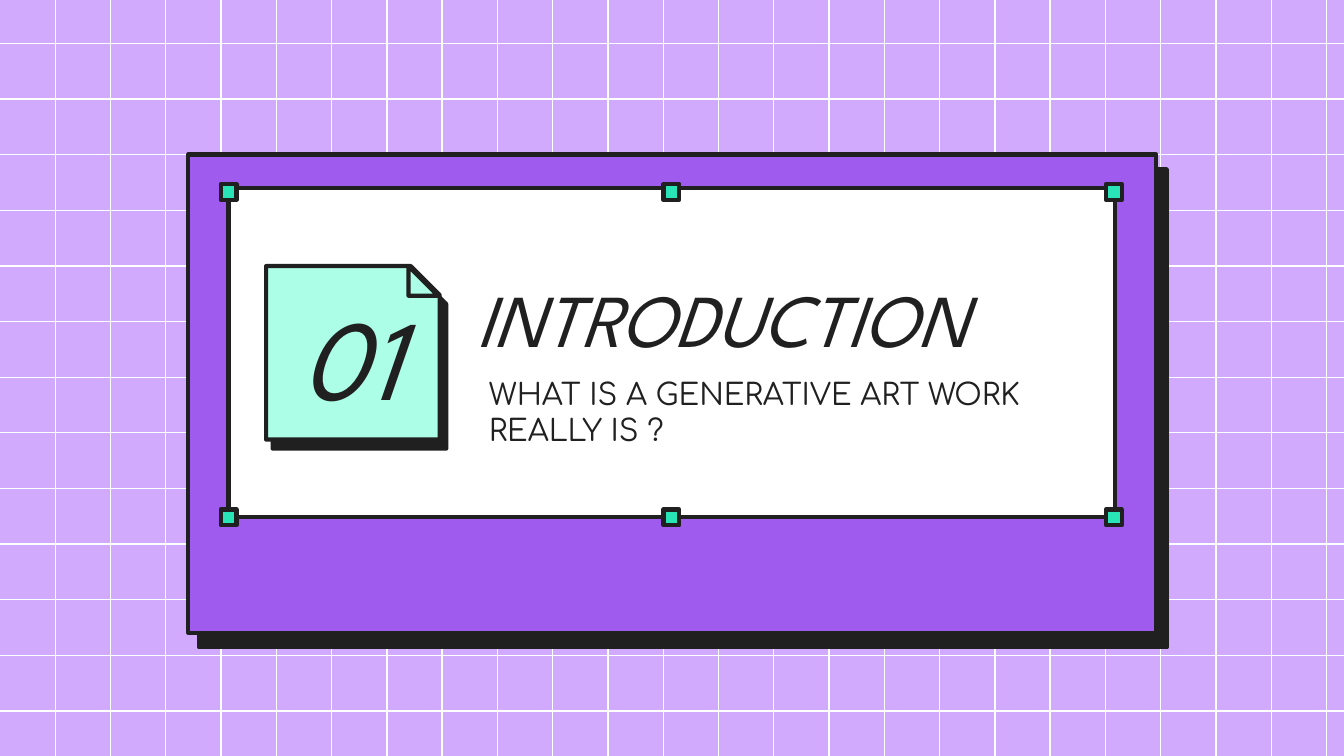
from lxml.etree import SubElement
from pptx import Presentation
from pptx.dml.color import RGBColor
from pptx.enum.shapes import MSO_CONNECTOR, MSO_SHAPE
from pptx.enum.text import MSO_ANCHOR, PP_ALIGN
from pptx.oxml.ns import qn
from pptx.util import Cm, Pt

WIDTH, HEIGHT = 25.4, 14.29
INK, WHITE = "202020", "FFFFFF"
LILAC, PURPLE = "D1AAFD", "9E5BEE"
MINT, GREEN = "ADFEE7", "28E4B7"


def paint(fill, color):
    fill.solid()
    fill.fore_color.rgb = RGBColor.from_string(color)


def add_grid_line(s, x1, y1, x2, y2):
    line = s.shapes.add_connector(MSO_CONNECTOR.STRAIGHT, Cm(x1), Cm(y1), Cm(x2), Cm(y2))
    paint(line.line.fill, WHITE)
    line.line.width = Pt(0.75)
    SubElement(line._element.spPr, qn("a:effectLst"))


def add_grid(s):
    rows, first_y, last_y = 13, 0.82, 13.44
    for i in range(rows):
        y = first_y + i * (last_y - first_y) / (rows - 1)
        add_grid_line(s, 0, y, WIDTH, y)
    columns, last_x = 24, 25.07
    for i in range(1, columns + 1):
        x = i * last_x / columns
        add_grid_line(s, x, 0, x, HEIGHT)


def add_outlined(s, kind, x, y, w, h, color):
    """Add a filled shape with a dark, round-joined outline."""
    sp = s.shapes.add_shape(kind, Cm(x), Cm(y), Cm(w), Cm(h))
    sp.shadow.inherit = False
    paint(sp.fill, color)
    paint(sp.line.fill, INK)
    sp.line.width = Pt(2.25)
    SubElement(sp._element.spPr.find(qn("a:ln")), qn("a:round"))
    return sp


def add_hard_shadow(sp, distance):
    effects = sp._element.spPr.find(qn("a:effectLst"))
    shadow = SubElement(effects, qn("a:outerShdw"), blurRad="0", dist=str(Pt(distance)),
                        dir=str(54 * 60000), algn="bl", rotWithShape="0")
    SubElement(shadow, qn("a:srgbClr"), val=INK)


def add_text(s, text, x, y, w, h, size, font, italic=False, align=PP_ALIGN.LEFT):
    tf = s.shapes.add_textbox(Cm(x), Cm(y), Cm(w), Cm(h)).text_frame
    tf.word_wrap = True
    tf.vertical_anchor = MSO_ANCHOR.TOP
    tf.margin_left = tf.margin_right = tf.margin_top = tf.margin_bottom = Cm(0.25)
    p = tf.paragraphs[0]
    p.alignment = align
    r = p.add_run()
    r.text = text
    r.font.size = Pt(size)
    r.font.name = font
    r.font.italic = italic
    r.font.color.rgb = RGBColor.from_string(INK)


def add_window(s):
    panel = add_outlined(s, MSO_SHAPE.RECTANGLE, 3.56, 2.92, 18.29, 9.04, PURPLE)
    add_hard_shadow(panel, 9.8)
    add_outlined(s, MSO_SHAPE.RECTANGLE, 4.32, 3.56, 16.76, 6.22, WHITE)


def add_note(s):
    note = add_outlined(s, MSO_SHAPE.SNIP_1_RECTANGLE, 5.03, 5.03, 3.28, 3.28, MINT)
    note.adjustments[0] = 0.167
    add_hard_shadow(note, 6)
    add_outlined(s, MSO_SHAPE.RIGHT_TRIANGLE, 7.72, 5.03, 0.56, 0.56, MINT)


def add_handles(s):
    for y in (3.48, 9.63):
        for x in (4.17, 12.54, 20.9):
            add_outlined(s, MSO_SHAPE.RECTANGLE, x, y, 0.3, 0.3, GREEN)


def main():
    prs = Presentation()
    prs.slide_width, prs.slide_height = Cm(WIDTH), Cm(HEIGHT)
    s = prs.slides.add_slide(prs.slide_layouts[6])
    paint(s.background.fill, LILAC)
    add_grid(s)
    add_window(s)
    add_note(s)
    add_text(s, "WHAT IS A GENERATIVE ART WORK REALLY IS ?",
             8.99, 6.86, 11.13, 1.5, 16, "Comfortaa")
    add_text(s, "INTRODUCTION", 8.76, 4.9, 12.55, 2.34, 40, "League Spartan", italic=True)
    add_text(s, "01", 4.83, 5.16, 3.58, 2.64, 61, "League Spartan",
             italic=True, align=PP_ALIGN.CENTER)
    add_handles(s)
    prs.save("out.pptx")


if __name__ == "__main__":
    main()
